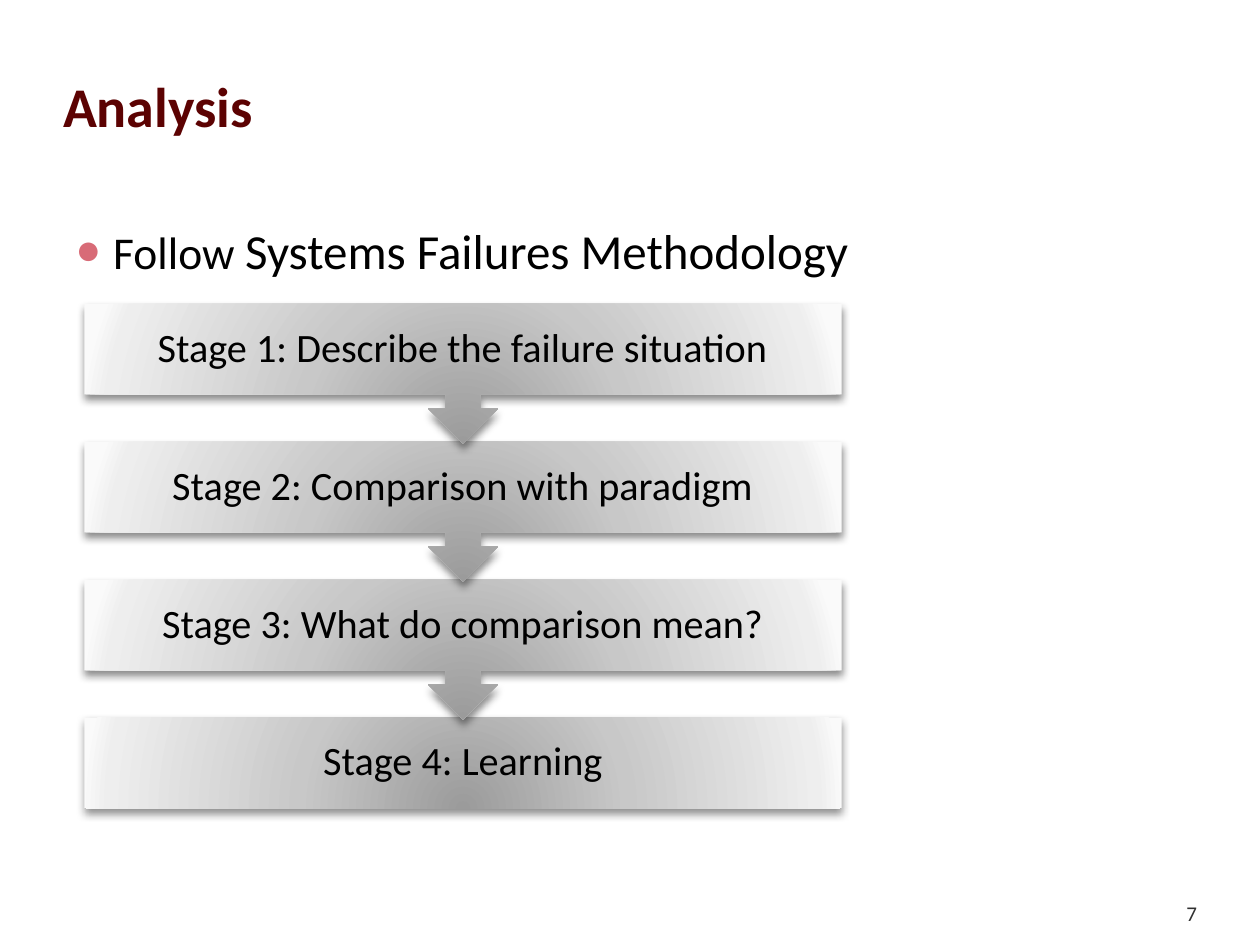
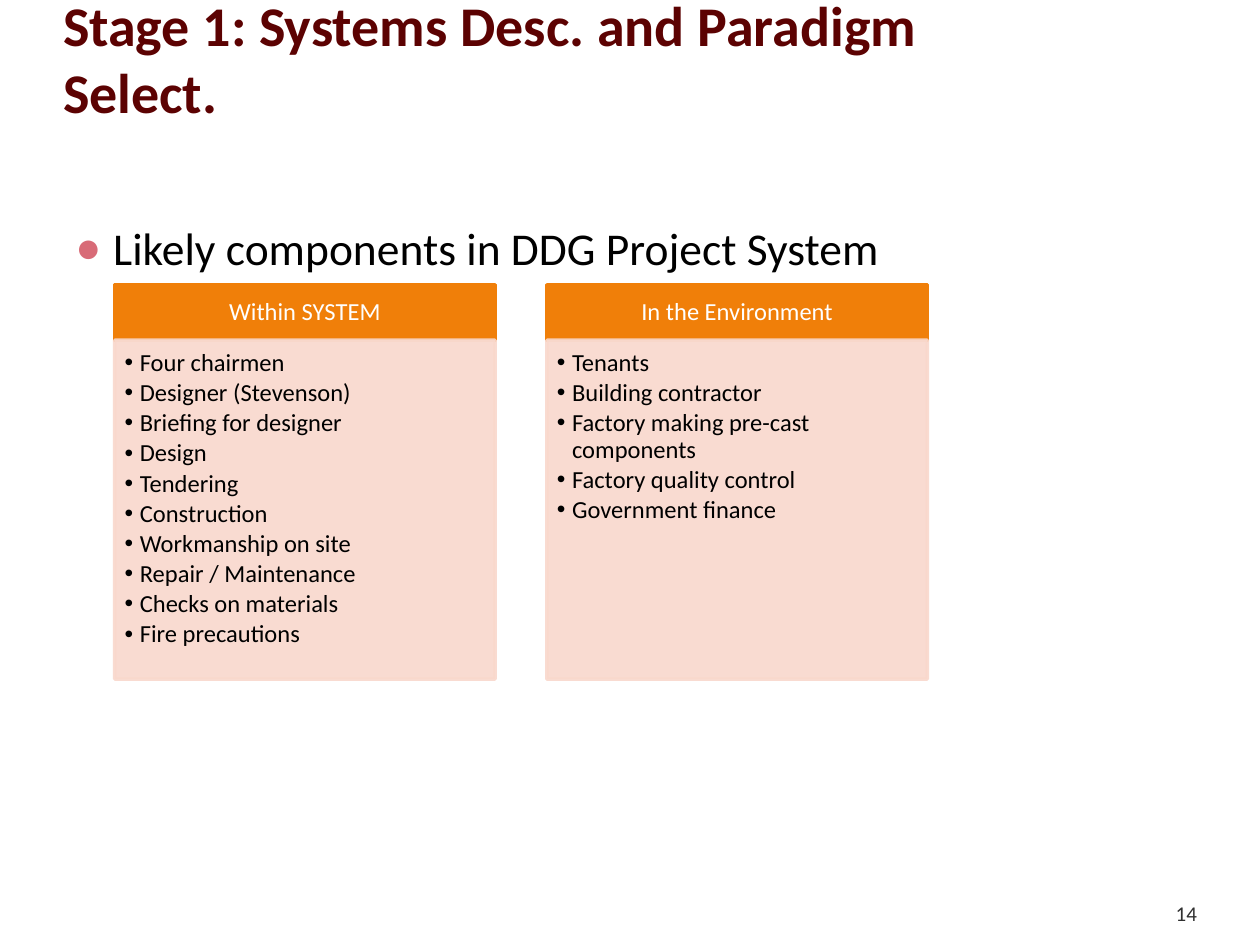
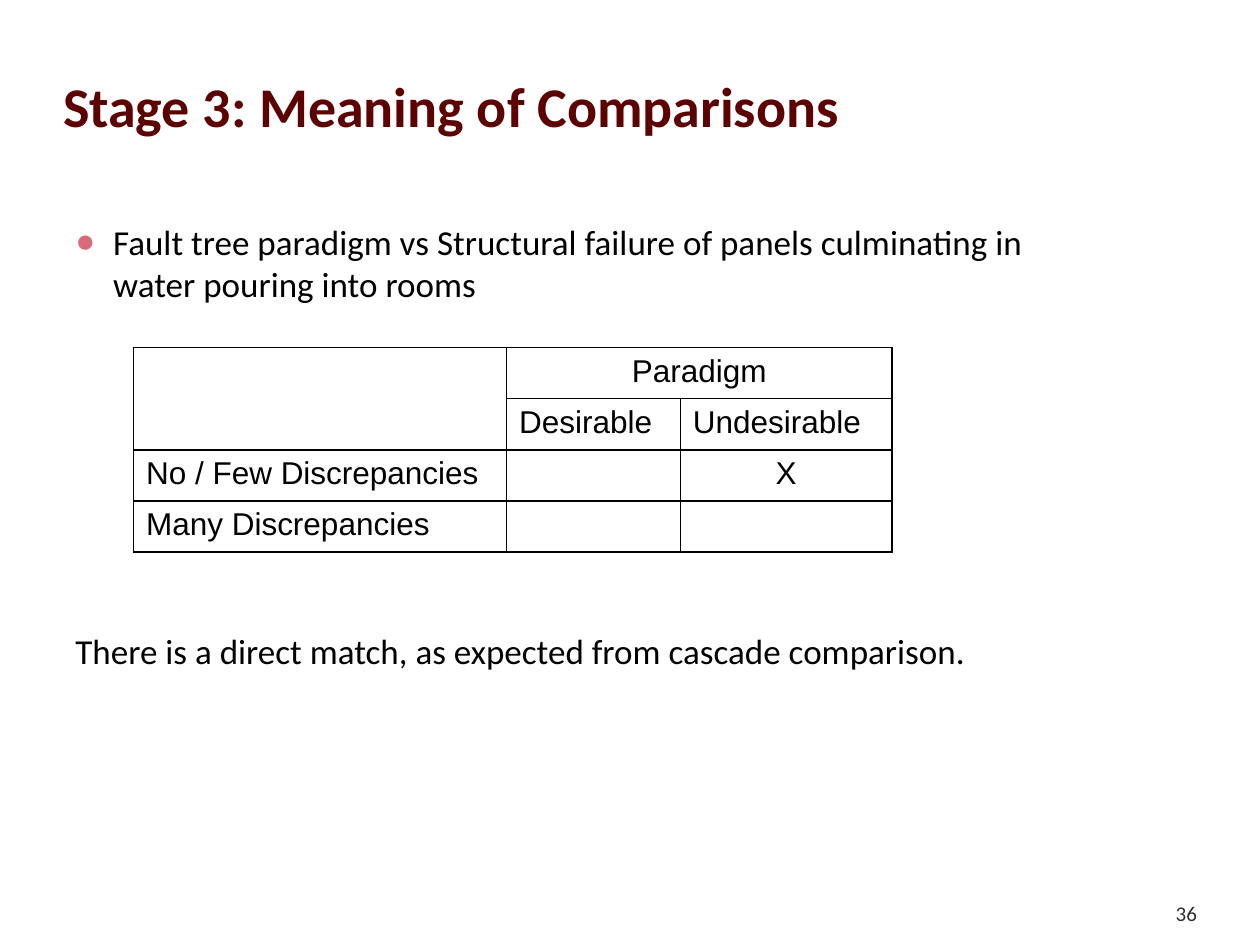
"""Build three slides on the failure methodology."""
from lxml.etree import SubElement
from pptx import Presentation
from pptx.dml.color import RGBColor
from pptx.enum.shapes import MSO_SHAPE
from pptx.enum.text import MSO_ANCHOR, MSO_AUTO_SIZE, PP_ALIGN
from pptx.oxml import parse_xml
from pptx.oxml.ns import nsdecls, qn
from pptx.util import Inches, Pt

BLACK, WHITE, GREY = "000000", "FFFFFF", "303030"
MAROON, ROSE = "5C0202", "D86B77"
ORANGE, PEACH = "F07F09", "F9D8CC"
STOPS = [(0, "9B9B9B"), (43, "C8C8C8"), (93, "EEEEEE"), (100, "FAFAFA")]
STAGES = [
    "Stage 1: Describe the failure situation",
    "Stage 2: Comparison with paradigm",
    "Stage 3: What do comparison mean?",
    "Stage 4: Learning",
]
CARDS = [
    ("Within SYSTEM", [
        "Four chairmen", "Designer (Stevenson)", "Briefing for designer",
        "Design", "Tendering", "Construction", "Workmanship on site",
        "Repair / Maintenance", "Checks on materials", "Fire precautions",
    ]),
    ("In the Environment", [
        "Tenants", "Building contractor", "Factory making pre-cast components",
        "Factory quality control", "Government finance",
    ]),
]
GRID = [
    ["", "Paradigm", ""],
    ["", "Desirable", "Undesirable"],
    ["No / Few Discrepancies", "", "X"],
    ["Many Discrepancies", "", ""],
]


def paint(target, color):
    """Set a solid colour on a fill or line format."""
    target.solid()
    target.fore_color.rgb = RGBColor.from_string(color)


def style(para, size, color=BLACK, bold=False, name="Calibri", align=PP_ALIGN.LEFT):
    """Format a paragraph and its runs."""
    para.alignment = align
    for run in para.runs:
        font = run.font
        font.name, font.size, font.bold = name, Pt(size), bold
        font.color.rgb = RGBColor.from_string(color)


def setup(frame, anchor, pads):
    """Set the wrapping, anchor and insets of a text frame."""
    frame.word_wrap = True
    frame.auto_size = MSO_AUTO_SIZE.NONE
    frame.vertical_anchor = anchor
    (frame.margin_left, frame.margin_top,
     frame.margin_right, frame.margin_bottom) = map(Inches, pads)


def bullet(para, char, indent, color=None, scale=None):
    """Give a paragraph a hanging bullet."""
    props = para._p.get_or_add_pPr()
    props.set("marL", str(Inches(indent)))
    props.set("indent", str(-Inches(indent)))
    if color:
        SubElement(SubElement(props, qn("a:buClr")), qn("a:srgbClr"), val=color)
    if scale:
        SubElement(props, qn("a:buSzPct"), val=str(scale * 1000))
    SubElement(props, qn("a:buFont"), typeface="Arial")
    SubElement(props, qn("a:buChar"), char=char)


def start(deck, title, number, height=0.74):
    """Add a slide with its title and page number."""
    slide = deck.slides.add_slide(deck.slide_layouts[5])
    head = slide.shapes.title
    head.left, head.top = Inches(0.5), Inches(0.36)
    head.width, head.height = Inches(8.09), Inches(height)
    head.text_frame.text = title
    setup(head.text_frame, MSO_ANCHOR.BOTTOM, (0, 0.05, 0, 0))
    style(head.text_frame.paragraphs[0], 32, MAROON, True)
    page = slide.shapes.add_textbox(Inches(8.67), Inches(6.95), Inches(0.83), Inches(0.4))
    page.text_frame.text = str(number)
    setup(page.text_frame, MSO_ANCHOR.BOTTOM, (0, 0, 0, 0))
    style(page.text_frame.paragraphs[0], 12, GREY, align=PP_ALIGN.RIGHT)
    return slide


def body(slide, text, size):
    """Add the main text with one round bullet."""
    box = slide.shapes.add_textbox(Inches(0.5), Inches(1.7), Inches(8.09), Inches(4.8))
    setup(box.text_frame, MSO_ANCHOR.TOP, (0.1, 0.05, 0.1, 0.05))
    para = box.text_frame.paragraphs[0]
    para.text = text
    bullet(para, "●", 0.3, ROSE, 95)
    style(para, size)
    return box.text_frame


def block(slide, kind, left, top, width, height):
    """Add a preset shape."""
    return slide.shapes.add_shape(
        kind, Inches(left), Inches(top), Inches(width), Inches(height))


def stage(slide, text, top, last):
    """Add one shaded stage, with an arrow down unless it is the last."""
    kind = MSO_SHAPE.RECTANGLE if last else MSO_SHAPE.DOWN_ARROW_CALLOUT
    shape = block(slide, kind, 0.67, top, 6.01, 0.72 if last else 1.11)
    stops = "".join(
        f'<a:gs pos="{pos * 1000}"><a:srgbClr val="{color}"/></a:gs>'
        for pos, color in STOPS)
    props = shape._element.spPr
    props.append(parse_xml(
        f'<a:gradFill {nsdecls("a")} rotWithShape="1"><a:gsLst>{stops}</a:gsLst>'
        '<a:path path="circle"><a:fillToRect l="50000" t="130000" r="50000" b="-30000"/>'
        '</a:path></a:gradFill>'))
    shape.line.fill.background()
    props.append(parse_xml(
        f'<a:effectLst {nsdecls("a")}><a:outerShdw blurRad="{Pt(4.5)}" dist="{Pt(3)}"'
        ' dir="5400000" rotWithShape="0"><a:srgbClr val="121212">'
        '<a:alpha val="48000"/></a:srgbClr></a:outerShdw></a:effectLst>'))
    shape.text_frame.text = text
    setup(shape.text_frame, MSO_ANCHOR.MIDDLE, (0.18,) * 4)
    para = shape.text_frame.paragraphs[0]
    para.line_spacing = 0.9
    style(para, 23, align=PP_ALIGN.CENTER)


def panel(slide, left, top, height, color):
    """Add a flat panel with a line of its own colour."""
    shape = block(slide, MSO_SHAPE.RECTANGLE, left, top, 3.02, height)
    shape.shadow.inherit = False
    paint(shape.fill, color)
    paint(shape.line.fill, color)
    shape.line.width = Pt(2)
    return shape


def card(slide, left, title, items):
    """Add a heading panel above a list panel."""
    head = panel(slide, left, 2.26, 0.44, ORANGE)
    head.text_frame.text = title
    setup(head.text_frame, MSO_ANCHOR.MIDDLE, (0.11, 0.06, 0.11, 0.06))
    para = head.text_frame.paragraphs[0]
    para.line_spacing = 0.9
    style(para, 14, WHITE, align=PP_ALIGN.CENTER)
    base = panel(slide, left, 2.7, 2.69, PEACH)
    for tint in base._element.spPr.iter(qn("a:srgbClr")):
        SubElement(tint, qn("a:alpha"), val="90000")
    base.text_frame.text = "\n".join(items)
    setup(base.text_frame, MSO_ANCHOR.TOP, (0.08, 0.08, 0.11, 0.12))
    for para in base.text_frame.paragraphs:
        bullet(para, "•", 0.12)
        para.line_spacing, para.space_after = 0.9, Pt(2.1)
        style(para, 14)


def border(cell):
    """Draw a thin black line on each side of a cell."""
    props = cell._tc.get_or_add_tcPr()
    for side in "LRTB":
        line = SubElement(props, qn(f"a:ln{side}"), w=str(Pt(1)))
        SubElement(SubElement(line, qn("a:solidFill")), qn("a:srgbClr"), val=BLACK)


def matrix(slide):
    """Add the table of discrepancies against paradigms."""
    frame = slide.shapes.add_table(
        4, 3, Inches(1.06), Inches(2.76), Inches(6.02), Inches(1.62))
    table = frame.table
    table.first_row = table.horz_banding = False
    for col, width in zip(table.columns, (2.96, 1.38, 1.68)):
        col.width = Inches(width)
    for r, row in enumerate(GRID):
        for c, text in enumerate(row):
            cell = table.cell(r, c)
            cell.text = text
            border(cell)
            cell.fill.background()
            align = PP_ALIGN.CENTER if text in ("Paradigm", "X") else PP_ALIGN.LEFT
            style(cell.text_frame.paragraphs[0], 18, name="Arial", align=align)
    table.cell(0, 0).merge(table.cell(1, 0))
    table.cell(0, 1).merge(table.cell(0, 2))


def main():
    """Build and save the deck."""
    deck = Presentation()
    deck.slide_width, deck.slide_height = Inches(10), Inches(7.5)

    slide = start(deck, "Analysis", 7)
    para = body(slide, "Follow ", 26).paragraphs[0]
    para.add_run().text = "Systems Failures Methodology"
    style(para, 28)
    para.runs[0].font.size = Pt(26)
    for i in reversed(range(len(STAGES))):
        stage(slide, STAGES[i], 2.41 + 1.095 * i, i == len(STAGES) - 1)

    slide = start(deck, "Stage 1: Systems Desc. and Paradigm Select.", 14, 0.63)
    body(slide, "Likely components in DDG Project System", 26)
    for i, (title, items) in enumerate(CARDS):
        card(slide, 0.91 + 3.43 * i, title, items)

    slide = start(deck, "Stage 3: Meaning of Comparisons", 36)
    frame = body(slide, "Fault tree paradigm vs Structural failure of panels "
                 "culminating in water pouring into rooms", 20)
    para = frame.add_paragraph()
    para.text = "There is a direct match, as expected from cascade comparison."
    para.space_before = Pt(186)
    style(para, 20)
    matrix(slide)

    deck.save("out.pptx")


if __name__ == "__main__":
    main()
